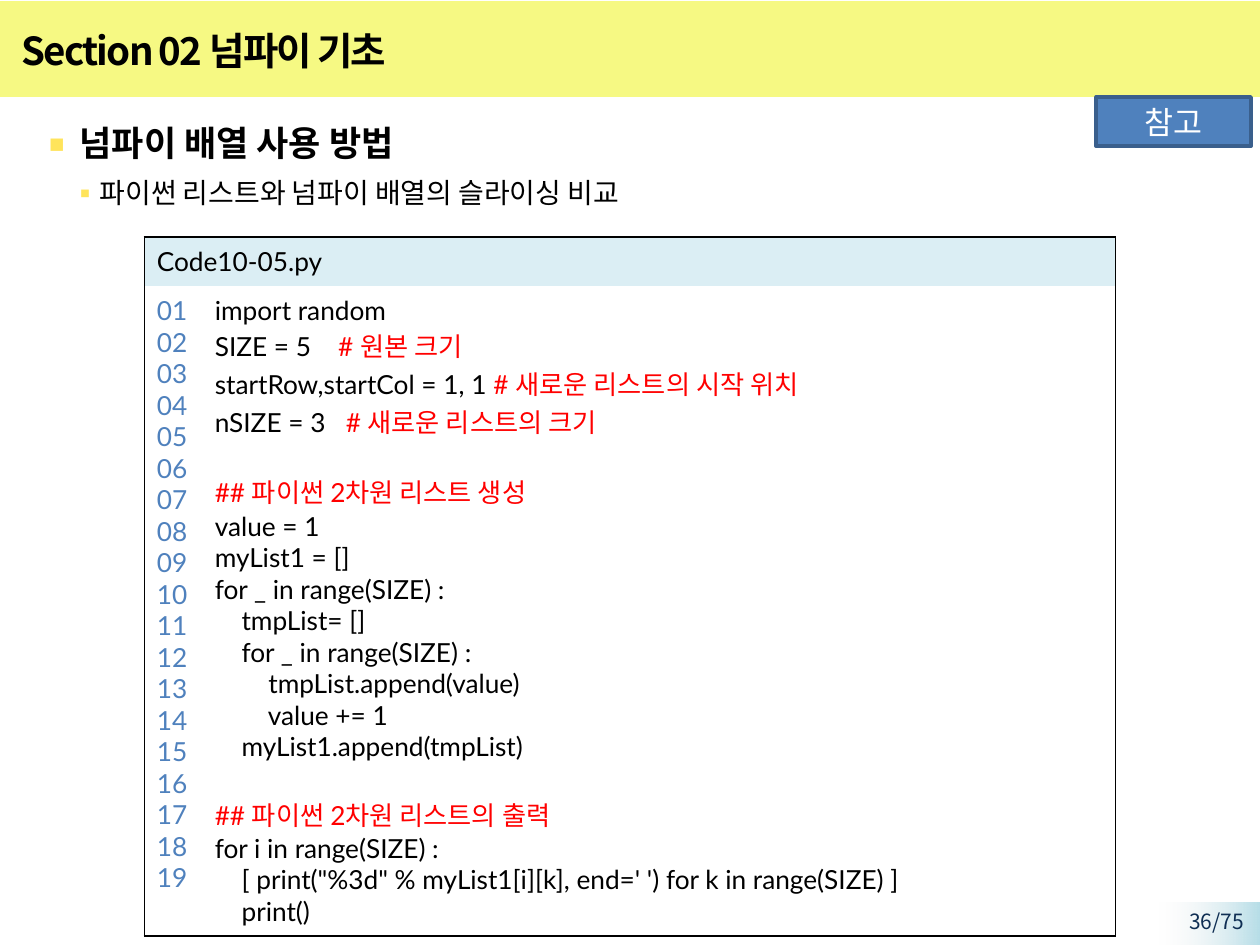
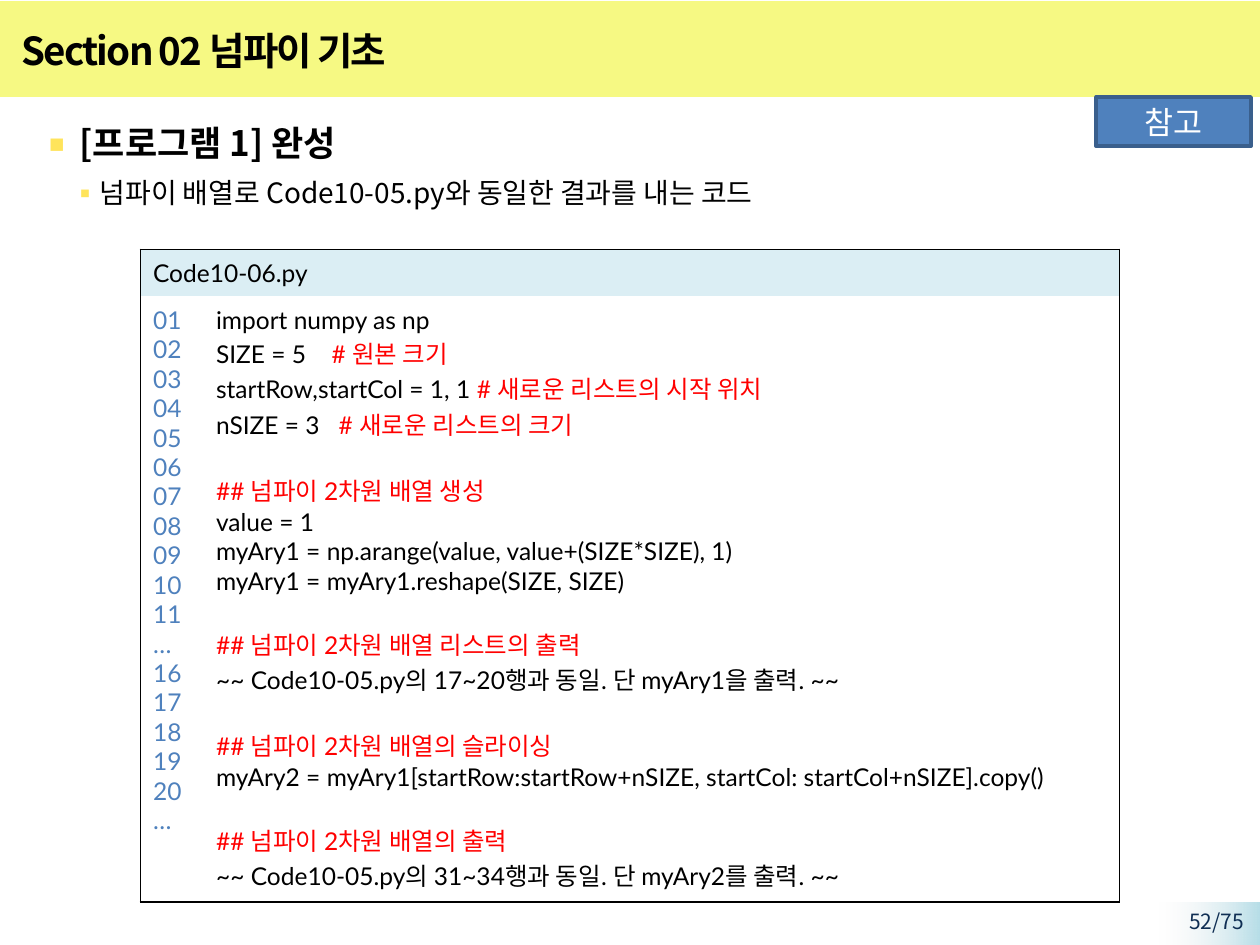
from dataclasses import dataclass

from lxml.etree import SubElement
from pptx import Presentation
from pptx.dml.color import RGBColor
from pptx.enum.shapes import MSO_SHAPE
from pptx.enum.text import MSO_ANCHOR, MSO_AUTO_SIZE, PP_ALIGN
from pptx.oxml.ns import qn
from pptx.util import Inches, Pt

TITLE = "Section 02 넘파이 기초"
BADGE = "참고"
PAGE_COUNT = 75


def numbers(first, last):
    return [f"{n:02}" for n in range(first, last + 1)]


SLIDES = [
    {
        "page": 36,
        "bullets": ["넘파이 배열 사용 방법", "파이썬 리스트와 넘파이 배열의 슬라이싱 비교"],
        "file": "Code10-05.py",
        "size": 15, "top": 1.88, "cols": (0.46, 7.25), "rows": (0.38, 4.78),
        "numbers": numbers(1, 19),
        "code": """\
import random
SIZE = 5    # 원본 크기
startRow,startCol = 1, 1 # 새로운 리스트의 시작 위치
nSIZE = 3   # 새로운 리스트의 크기

## 파이썬 2차원 리스트 생성
value = 1
myList1 = []
for _ in range(SIZE) :
    tmpList= []
    for _ in range(SIZE) :
        tmpList.append(value)
        value += 1
    myList1.append(tmpList)

## 파이썬 2차원 리스트의 출력
for i in range(SIZE) :
    [ print("%3d" % myList1[i][k], end=' ') for k in range(SIZE) ]
    print()""",
    },
    {
        "page": 52,
        "bullets": ["[프로그램 1] 완성", "넘파이 배열로 Code10-05.py와 동일한 결과를 내는 코드"],
        "file": "Code10-06.py",
        "size": 14, "top": 1.98, "cols": (0.5, 7.27), "rows": (0.37, 4.33),
        "numbers": [*numbers(1, 11), "…", *numbers(16, 20), "…"],
        "code": """\
import numpy as np
SIZE = 5    # 원본 크기
startRow,startCol = 1, 1 # 새로운 리스트의 시작 위치
nSIZE = 3   # 새로운 리스트의 크기

## 넘파이 2차원 배열 생성
value = 1
myAry1 = np.arange(value, value+(SIZE*SIZE), 1)
myAry1 = myAry1.reshape(SIZE, SIZE)

## 넘파이 2차원 배열 리스트의 출력
~~ Code10-05.py의 17~20행과 동일. 단 myAry1을 출력. ~~

## 넘파이 2차원 배열의 슬라이싱
myAry2 = myAry1[startRow:startRow+nSIZE, startCol: startCol+nSIZE].copy()

## 넘파이 2차원 배열의 출력
~~ Code10-05.py의 31~34행과 동일. 단 myAry2를 출력. ~~""",
    },
]


@dataclass(frozen=True)
class Theme:
    width: float = 10
    height: float = 7.5
    font: str = "Noto Sans CJK KR"
    code_font: str = "Lato"
    text: str = "000000"
    band: str = "F6F983"
    bullet: str = "FFE45B"
    accent: str = "4F81BD"
    accent_line: str = "3A5F8C"
    comment: str = "FF0000"
    code_head: str = "DBEEF4"
    page_text: str = "0F2E53"
    corner: tuple = ("B7DEE8", "F2F2F2")
    title_size: int = 22
    badge_size: int = 18
    page_size: int = 12


T = Theme()
BULLET_LEVELS = [
    {"left": 0.39, "hang": 0.29, "size": 20, "bold": True, "before": 0, "mark": 130},
    {"left": 0.59, "hang": 0.19, "size": 16, "bold": False, "before": 3, "mark": 100},
]
PLAIN_TABLE = "{2D5ABB26-0587-4C30-8999-92F81FD0307C}"


def rgb(value):
    return RGBColor.from_string(value)


def place(sp, *box):
    for name, value in zip(("left", "top", "width", "height"), box):
        setattr(sp, name, Inches(value))


def add_run(p, text, size, color=T.text, font=T.font, bold=False):
    r = p.add_run()
    r.text = text
    for name, value in {"name": font, "size": Pt(size), "bold": bold}.items():
        setattr(r.font, name, value)
    r.font.color.rgb = rgb(color)
    SubElement(r._r.get_or_add_rPr(), qn("a:ea"), typeface=T.font)
    return r


def add_box(slide, *box):
    sp = slide.shapes.add_shape(MSO_SHAPE.RECTANGLE, *map(Inches, box))
    sp.shadow.inherit = False
    sp.line.fill.background()
    return sp


def add_frame(slide, page):
    """Title band, page corner and page number, behind everything else."""
    band = add_box(slide, 0, 0.01, T.width, 0.76)
    band.fill.solid()
    band.fill.fore_color.rgb = rgb(T.band)

    corner = add_box(slide, 9.2, 7.16, 0.8, T.height - 7.16)
    corner.fill.gradient()
    corner.fill.gradient_angle = 180
    for stop, color in zip(corner.fill.gradient_stops, T.corner):
        stop.color.rgb = rgb(color)
    clear = corner.fill._fill._gradFill.findall(".//" + qn("a:srgbClr"))[-1]
    SubElement(clear, qn("a:alpha"), val="0")

    label = slide.shapes.add_textbox(*map(Inches, (9.05, 7.16, 0.92, 0.23)))
    label.text_frame.word_wrap = True
    p = label.text_frame.paragraphs[0]
    p.alignment = PP_ALIGN.RIGHT
    add_run(p, f"{page}/{PAGE_COUNT}", T.page_size, T.page_text)

    for index, sp in enumerate((band, corner, label), 2):
        slide.shapes._spTree.insert(index, sp._element)


def fill_title(sp):
    place(sp, 0.07, 0.14, 8.51, 0.52)
    tf = sp.text_frame
    tf.auto_size = MSO_AUTO_SIZE.NONE
    tf.vertical_anchor = MSO_ANCHOR.MIDDLE
    p = tf.paragraphs[0]
    p.alignment = PP_ALIGN.LEFT
    r = add_run(p, TITLE, T.title_size, bold=True)
    r._r.rPr.set("spc", "-100")


def fill_body(sp, bullets):
    place(sp, 0.07, 0.85, 9.8, 6.2)
    tf = sp.text_frame
    tf.auto_size = MSO_AUTO_SIZE.NONE
    for level, (text, fmt) in enumerate(zip(bullets, BULLET_LEVELS)):
        p = tf.add_paragraph() if level else tf.paragraphs[0]
        p.level = level
        p.line_spacing = 1.2
        p.space_before = Pt(fmt["before"])
        pPr = p._p.get_or_add_pPr()
        pPr.set("marL", str(Inches(fmt["left"])))
        pPr.set("indent", str(-Inches(fmt["hang"])))
        SubElement(SubElement(pPr, qn("a:buClr")), qn("a:srgbClr"), val=T.bullet)
        SubElement(pPr, qn("a:buSzPct"), val=str(fmt["mark"] * 1000))
        SubElement(pPr, qn("a:buFont"), typeface=T.font)
        SubElement(pPr, qn("a:buChar"), char="▪")
        add_run(p, text, fmt["size"], bold=fmt["bold"])


def add_badge(slide):
    sp = add_box(slide, 8.7, 0.77, 1.23, 0.39)
    sp.fill.solid()
    sp.fill.fore_color.rgb = rgb(T.accent)
    sp.line.color.rgb = rgb(T.accent_line)
    sp.line.width = Pt(2)
    sp.text_frame.vertical_anchor = MSO_ANCHOR.MIDDLE
    p = sp.text_frame.paragraphs[0]
    p.alignment = PP_ALIGN.CENTER
    add_run(p, BADGE, T.badge_size, "FFFFFF")


def write_lines(cell, lines, size, color=T.text):
    """One paragraph a line; whatever follows a # is in the comment colour."""
    tf = cell.text_frame
    for i, line in enumerate(lines):
        p = tf.add_paragraph() if i else tf.paragraphs[0]
        code, mark, comment = line.partition("#")
        for text, ink in ((code, color), (mark + comment, T.comment)):
            if text:
                add_run(p, text, size, ink, T.code_font)
        if not line:
            SubElement(p._p, qn("a:endParaRPr"), sz=str(size * 100))


def style_cell(cell, sides, fill=None):
    for side in ("left", "right"):
        setattr(cell, f"margin_{side}", Inches(0.1))
    for side in ("top", "bottom"):
        setattr(cell, f"margin_{side}", Inches(0.07))
    tcPr = cell._tc.get_or_add_tcPr()
    for side in sides:
        ln = SubElement(tcPr, qn(f"a:ln{side}"), w=str(Pt(1)))
        SubElement(SubElement(ln, qn("a:solidFill")), qn("a:srgbClr"), val=T.text)
    if fill:
        cell.fill.solid()
        cell.fill.fore_color.rgb = rgb(fill)
    else:
        cell.fill.background()


def add_listing(slide, item):
    """Code table, centred on the slide: file name over line numbers and code."""
    cols, rows, size = item["cols"], item["rows"], item["size"]
    width = sum(cols)
    box = ((T.width - width) / 2, item["top"], width, sum(rows))
    tbl = slide.shapes.add_table(2, 2, *map(Inches, box)).table
    tbl.first_row = tbl.horz_banding = False
    tbl._tbl.tblPr[0].text = PLAIN_TABLE
    for col, value in zip(tbl.columns, cols):
        col.width = Inches(value)
    for row, value in zip(tbl.rows, rows):
        row.height = Inches(value)

    (head, head_end), (gutter, code) = [[tbl.cell(r, c) for c in (0, 1)] for r in (0, 1)]
    head.merge(head_end)
    style_cell(head, "LRT", T.code_head)
    style_cell(head_end, "RT", T.code_head)
    style_cell(gutter, "LB")
    style_cell(code, "RB")
    write_lines(head, [item["file"]], size)
    write_lines(gutter, item["numbers"], size, T.accent)
    write_lines(code, item["code"].split("\n"), size)


def main():
    prs = Presentation()
    prs.slide_width, prs.slide_height = Inches(T.width), Inches(T.height)
    for item in SLIDES:
        slide = prs.slides.add_slide(prs.slide_layouts[1])
        add_frame(slide, item["page"])
        fill_title(slide.shapes.title)
        fill_body(slide.placeholders[1], item["bullets"])
        add_listing(slide, item)
        add_badge(slide)
    prs.save("out.pptx")


if __name__ == "__main__":
    main()
